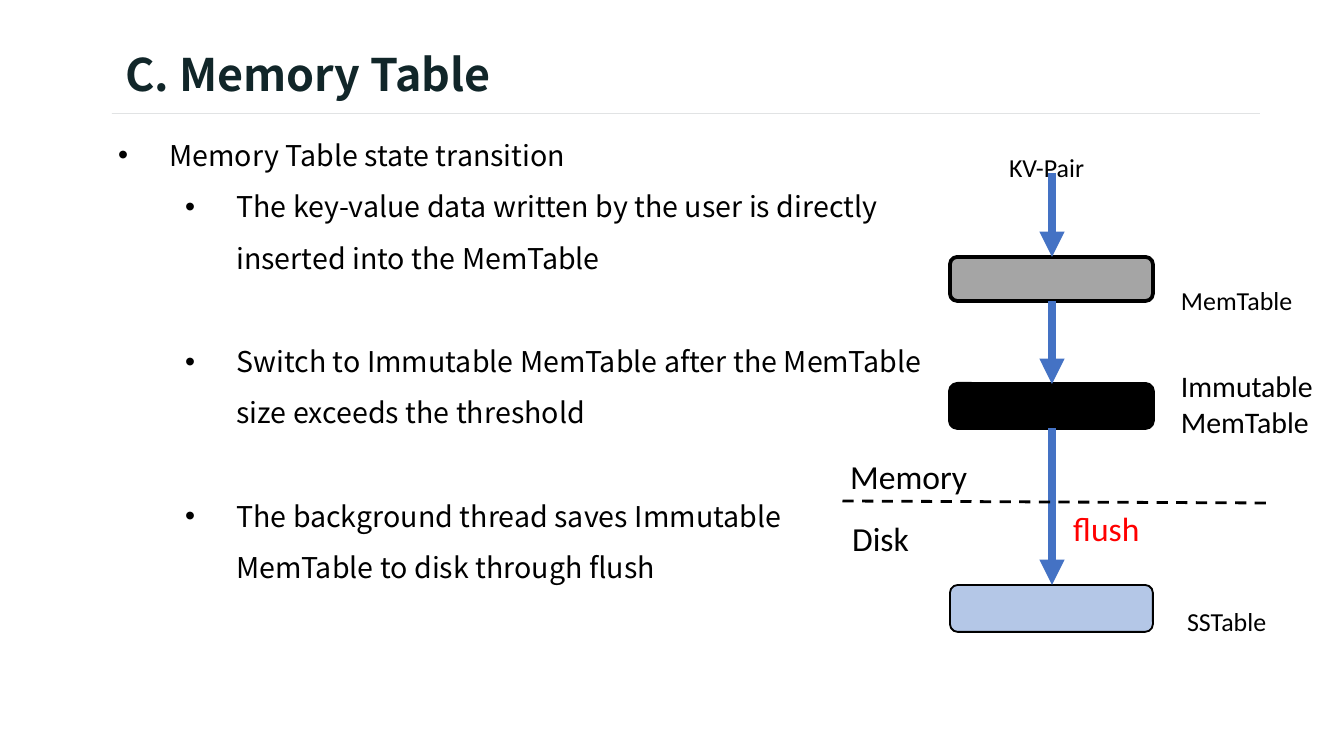
from lxml.etree import SubElement
from pptx import Presentation
from pptx.dml.color import RGBColor
from pptx.enum.dml import MSO_LINE_DASH_STYLE as Dash
from pptx.enum.shapes import MSO_CONNECTOR as Connector, MSO_SHAPE as Shape
from pptx.enum.text import MSO_ANCHOR as Anchor
from pptx.oxml.ns import qn
from pptx.util import Emu, Pt

SCALE = 914400 / 134.4  # EMU in one px
HEADING_FONT, LABEL_FONT = "Noto Sans CJK SC", "Calibri"
INK, BLACK, BLUE, RED = "112629", "000000", "4472C4", "FF0000"


def px(length):
    return Emu(round(length * SCALE))


def color(value):
    return RGBColor.from_string(value)


def apply(target, values):
    for name, value in values.items():
        setattr(target, name, value)


def add_text(page, box, paragraphs, font, text_color=BLACK, inset=True, anchor=Anchor.TOP):
    area = page.shapes.add_textbox(*map(px, box))
    frame = area.text_frame
    apply(frame, {"word_wrap": True, "vertical_anchor": anchor})
    if not inset:
        apply(frame, dict.fromkeys(
            ("margin_left", "margin_top", "margin_right", "margin_bottom"), 0))
    for index, text in enumerate(paragraphs):
        para = frame.paragraphs[0] if index == 0 else frame.add_paragraph()
        para.text = text
        for span in para.runs:
            apply(span.font, font)
            span.font.color.rgb = color(text_color)
    return frame


def add_box(page, box, kind, fill, line_width=0):
    shape = page.shapes.add_shape(kind, *map(px, box))
    shape.shadow.inherit = False
    shape.fill.solid()
    shape.fill.fore_color.rgb = color(fill)
    if line_width:
        shape.line.color.rgb = color(BLACK)
        shape.line.width = Pt(line_width)
    else:
        shape.line.fill.background()


def add_line(page, start, end, line_color, width):
    line = page.shapes.add_connector(Connector.STRAIGHT, *map(px, start + end))
    line.line.color.rgb = color(line_color)
    line.line.width = Pt(width)
    SubElement(line._element.spPr, qn("a:effectLst"))
    return line


def add_arrow(page, start, end):
    arrow = add_line(page, start, end, BLUE, 4.5)
    outline = arrow.line._get_or_add_ln()
    SubElement(outline, qn("a:tailEnd"), type="triangle")


def add_header(page, left, top, width, height):
    add_box(page, (left, top + height, width, 0), Shape.RECTANGLE, INK)
    font = {"name": HEADING_FONT, "size": Pt(24), "bold": True}
    add_text(page, (left, top, width, height), ["C. Memory Table"], font, INK,
             anchor=Anchor.MIDDLE)


def add_bullets(page, left, top, width, height):
    items = [
        "Memory Table state transition",
        "The key-value data written by the user is directly \vinserted into the MemTable",
        "Switch to Immutable MemTable after the MemTable \vsize exceeds the threshold",
        "The background thread saves Immutable \vMemTable to disk through flush",
    ]
    font = {"name": HEADING_FONT, "size": Pt(15.3)}
    frame = add_text(page, (left, top, width, height), items, font)
    for index, para in enumerate(frame.paragraphs):
        level = min(index, 1)
        gap = px(52) if index > 1 else 0
        apply(para, {"level": level, "line_spacing": 1.5, "space_before": gap})
        props = para._p.get_or_add_pPr()
        props.set("marL", str(px(51 + 67 * level)))
        props.set("indent", str(px(-51)))
        SubElement(props, qn("a:buFont"), typeface="Arial")
        SubElement(props, qn("a:buChar"), char="•")


def add_diagram(page, left, top):
    def at(x, y):
        return left + x, top + y

    # Tables
    for y, height, fill, line_width in [(263, 44, BLACK, 2), (136, 44, "A5A5A5", 2),
                                        (464, 47, "B4C7E7", 1)]:
        add_box(page, at(113, y) + (203, height), Shape.ROUNDED_RECTANGLE, fill, line_width)

    # Data flow from top to bottom
    for start, end in [(52, 136), (180, 263), (307, 464)]:
        add_arrow(page, at(215, start), at(215, end))

    # Border between memory and disk
    border = add_line(page, at(429, 382), at(0, 380), BLACK, 1.5)
    border.line.dash_style = Dash.DASH

    # Lowered labels of the flow
    for text, x, y, width in [("KV-Pair", 172, 0, 124), ("MemTable", 344, 133, 161),
                              ("SSTable", 350, 454, 124)]:
        font = {"name": LABEL_FONT, "size": Pt(24)}
        frame = add_text(page, at(x, y) + (width, 35), [text], font, inset=False)
        frame.paragraphs[0].runs[0].font._element.set("baseline", "-25000")
    add_text(page, at(344, 247) + (163, 73), ["Immutable", "MemTable"],
             {"name": LABEL_FONT, "size": Pt(16)}, inset=False)

    # Zone and action labels
    for text, x, y, width, text_color in [("Memory", 0, 328, 215, BLACK),
                                          ("Disk", 2, 390, 98, BLACK),
                                          ("flush", 223, 380, 155, RED)]:
        add_text(page, at(x, y) + (width, 54), [text],
                 {"name": LABEL_FONT, "size": Pt(18)}, text_color)


def main():
    deck = Presentation()
    apply(deck, {"slide_width": px(1344), "slide_height": px(756)})
    page = deck.slides.add_slide(deck.slide_layouts[6])
    add_header(page, 112, 34, 1148, 80)
    add_bullets(page, 105, 114, 1134, 617)
    add_diagram(page, 837, 121)
    deck.save("out.pptx")


if __name__ == "__main__":
    main()
